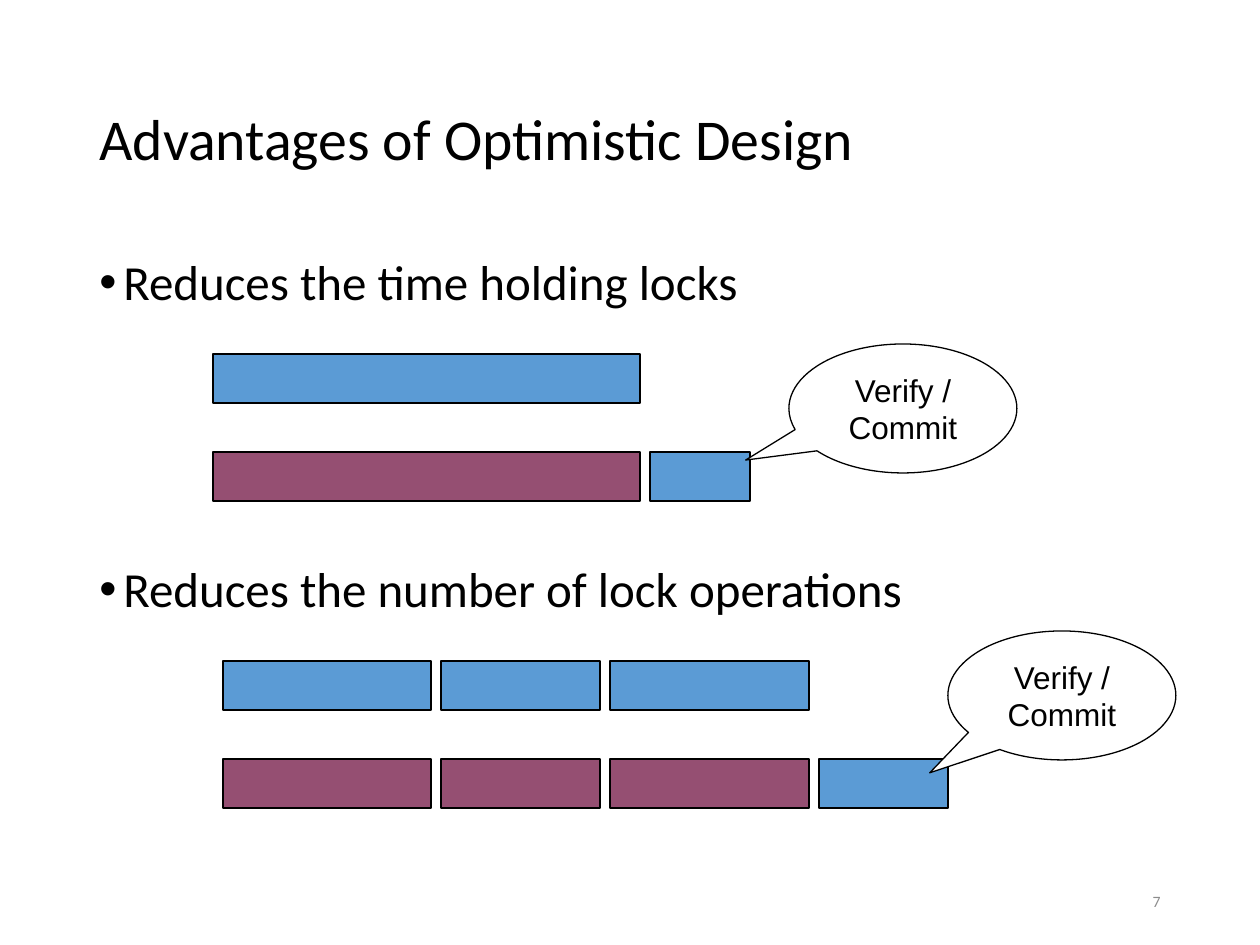
from lxml import etree
from pptx import Presentation
from pptx import util as u
from pptx.dml.color import RGBColor
from pptx.enum import shapes, text
from pptx.oxml.ns import qn

EMU_PER_PX = 914400 / 126
COLORS = {
    "lock": "5B9BD5",
    "work": "954F72",
    "callout": "FFFFFF",
    "ink": "000000",
    "number": "8C8C8C",
}
BAR_HEIGHT = 49
BAR_GAP = 10
ROW_STEP = 98


def px(length):
    return u.Emu(round(length * EMU_PER_PX))


def color(name):
    return RGBColor.from_string(COLORS[name])


def style_font(paragraph, size, font="Calibri", ink="ink"):
    paragraph.font.size = u.Pt(size)
    paragraph.font.name = font
    paragraph.font.color.rgb = color(ink)


def add_text(page, bounds, lines, size, anchor=text.MSO_ANCHOR.MIDDLE, ink="ink"):
    box = page.shapes.add_textbox(*map(px, bounds))
    frame = box.text_frame
    frame.word_wrap = True
    frame.vertical_anchor = anchor
    frame.text = "\n".join(lines)
    for paragraph in frame.paragraphs:
        style_font(paragraph, size, ink=ink)
    return frame.paragraphs


def add_bullet(paragraph):
    properties = paragraph._p.get_or_add_pPr()
    indent = px(24)
    properties.set("marL", str(indent))
    properties.set("indent", str(-indent))
    font = etree.Element(qn("a:buFont"), typeface="Arial")
    mark = etree.Element(qn("a:buChar"), char="•")
    defaults = properties.find(qn("a:defRPr"))
    for element in (font, mark):
        defaults.addprevious(element)


def add_shape(page, kind, bounds, fill):
    shape = page.shapes.add_shape(kind, *map(px, bounds))
    shape.shadow.inherit = False
    shape.fill.solid()
    shape.fill.fore_color.rgb = color(fill)
    shape.line.color.rgb = color("ink")
    shape.line.width = u.Pt(0.75)
    return shape


def add_timelines(page, left, top, widths, commit_width):
    """Locked steps above the same steps run unlocked, then a short commit."""
    kind = shapes.MSO_SHAPE.RECTANGLE
    for width in widths:
        add_shape(page, kind, (left, top, width, BAR_HEIGHT), "lock")
        add_shape(page, kind, (left, top + ROW_STEP, width, BAR_HEIGHT), "work")
        left += width + BAR_GAP
    add_shape(page, kind, (left, top + ROW_STEP, commit_width, BAR_HEIGHT), "lock")


def add_callout(page, left, top, tip):
    """tip is the pointer's end, as shares of the size from the centre."""
    callout = add_shape(page, shapes.MSO_SHAPE.OVAL_CALLOUT,
                        (left, top, 228, 129), "callout")
    callout.adjustments[0], callout.adjustments[1] = tip
    frame = callout.text_frame
    frame.word_wrap = True
    frame.vertical_anchor = text.MSO_ANCHOR.MIDDLE
    frame.text = "Verify / Commit"
    paragraph = frame.paragraphs[0]
    paragraph.alignment = text.PP_ALIGN.CENTER
    style_font(paragraph, 18, "Arial")


def main():
    deck = Presentation()
    deck.slide_width, deck.slide_height = px(1260), px(945)
    page = deck.slides.add_slide(deck.slide_layouts[6])

    title, = add_text(page, (87, 50, 1086, 183),
                      ["Advantages of Optimistic Design"], 33)
    title.line_spacing = 0.9

    points = add_text(page, (87, 252, 1086, 600),
                      ["Reduces the time holding locks",
                       "Reduces the number of lock operations"],
                      28, text.MSO_ANCHOR.TOP)
    for point in points:
        point.line_spacing = 0.9
        add_bullet(point)
    points[1].space_before = u.Pt(145)

    add_timelines(page, 213, 354, [427], 100)
    add_callout(page, 789, 344, (-0.69, 0.4))
    add_timelines(page, 223, 661, [208, 159, 199], 129)
    add_callout(page, 948, 631, (-0.58, 0.6))

    number, = add_text(page, (890, 876, 283, 50), ["7"], 9, ink="number")
    number.alignment = text.PP_ALIGN.RIGHT

    deck.save("out.pptx")


if __name__ == "__main__":
    main()
